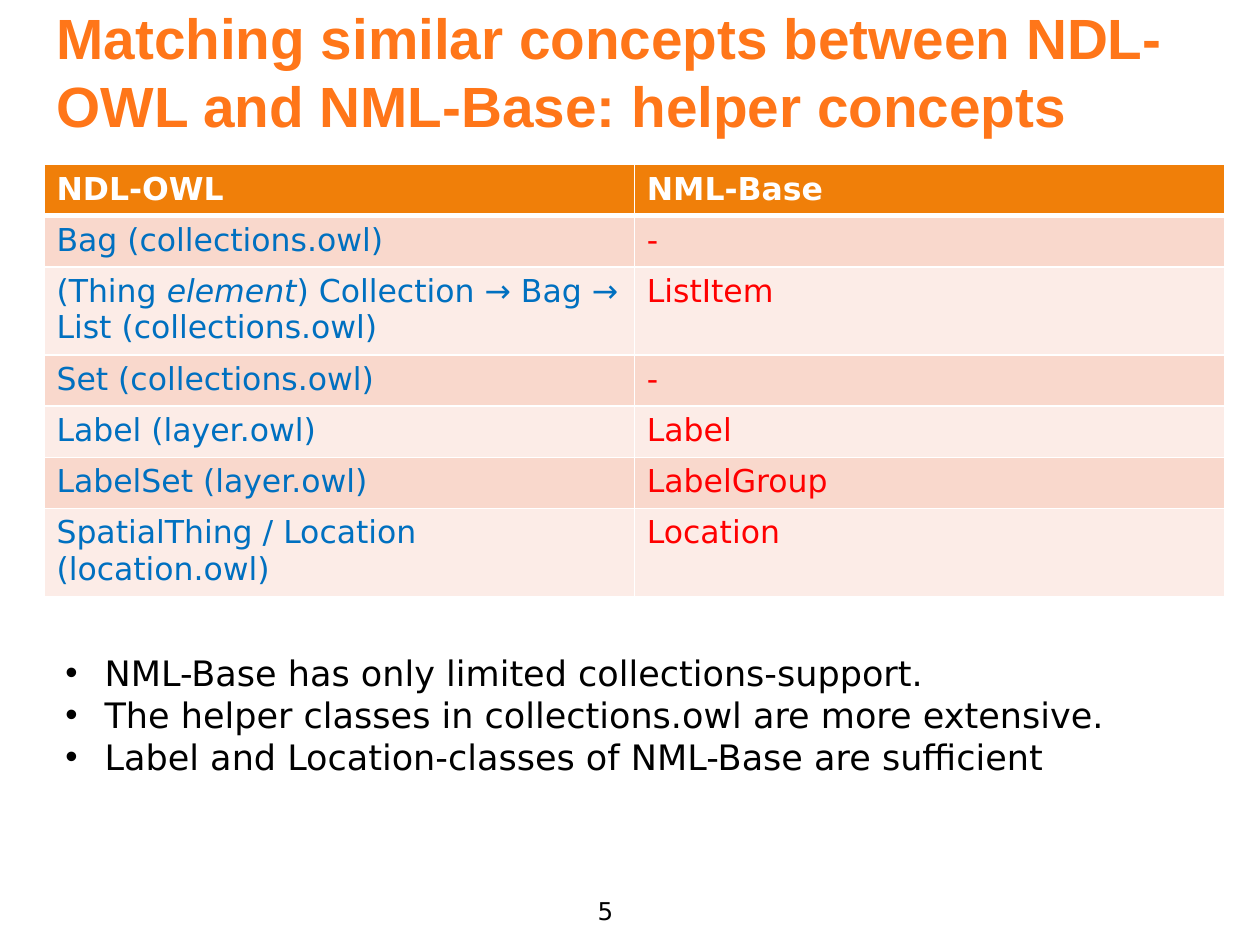
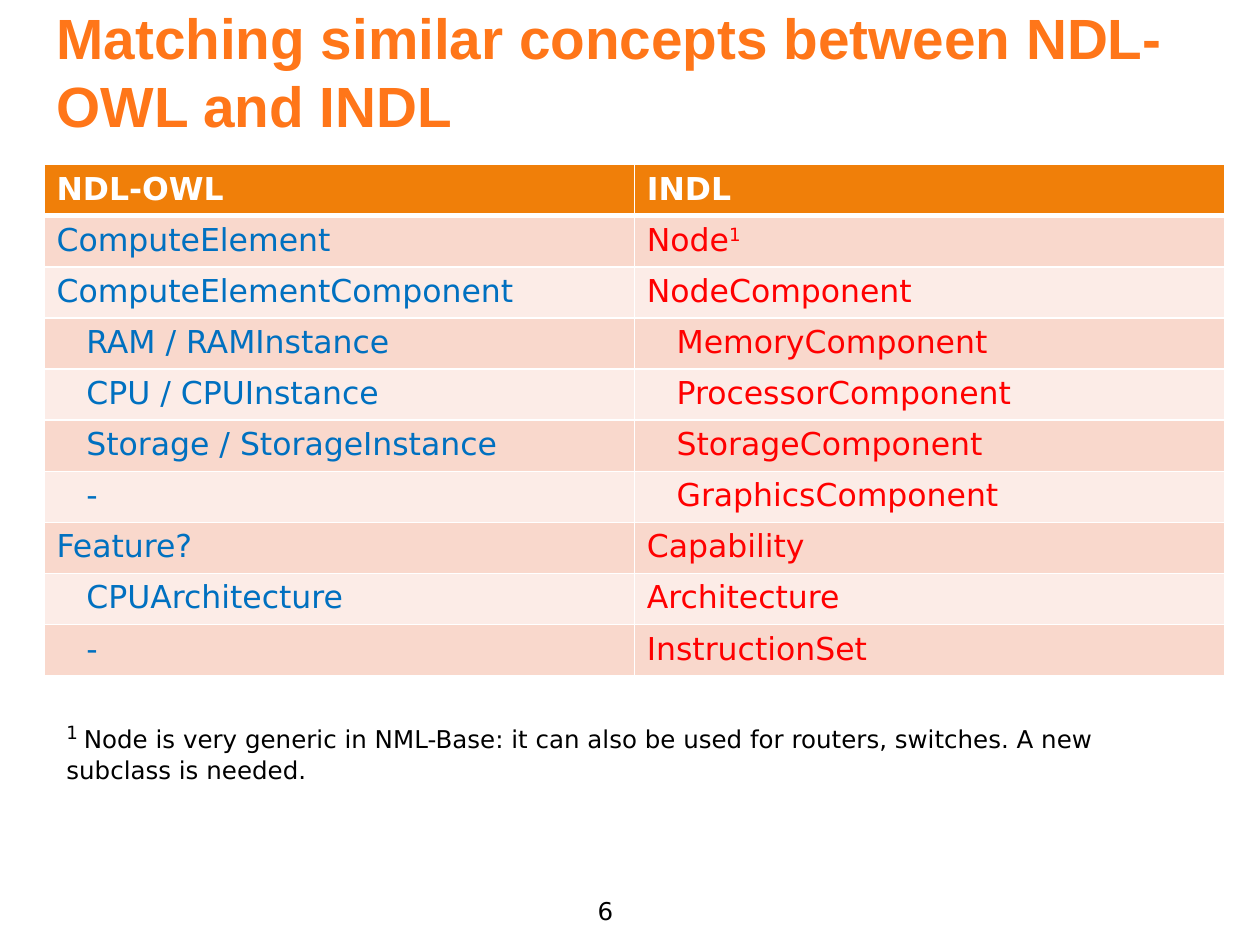
from dataclasses import dataclass

from lxml import etree
from pptx import Presentation
from pptx.dml.color import RGBColor
from pptx.enum.text import MSO_ANCHOR, PP_ALIGN
from pptx.oxml.ns import qn
from pptx.util import Cm, Pt

LEFT, CENTER = PP_ALIGN.LEFT, PP_ALIGN.CENTER
TOP, BOTTOM = MSO_ANCHOR.TOP, MSO_ANCHOR.BOTTOM
BLANK_LAYOUT = 6


@dataclass(frozen=True)
class Theme:
    title_font: str = "Arial"
    body_font: str = "DejaVu Sans"
    title_color: str = "FF7619"
    text_color: str = "000000"
    header_color: str = "FFFFFF"
    border_color: str = "FFFFFF"
    header_fill: str = "F07F09"
    row_fills: tuple = ("F9D8CC", "FCECE7")
    column_colors: tuple = ("0070C0", "FF0000")
    title_size: float = 32.4
    bullet_size: float = 20
    table_size: float = 18
    note_size: float = 14


THEME = Theme()
TITLE_FORMAT = {"name": THEME.title_font, "size": Pt(THEME.title_size), "bold": True}
BULLET_FORMAT = {"name": THEME.body_font, "size": Pt(THEME.bullet_size)}
TABLE_FORMAT = {"name": THEME.body_font, "size": Pt(THEME.table_size)}
NOTE_FORMAT = {"name": THEME.body_font, "size": Pt(THEME.note_size)}
ITALIC = {"italic": True}
SUPERSCRIPT = {"superscript": True}

TABLE_LEFT, TABLE_TOP = Cm(0.89), Cm(3.32)
COLUMN_WIDTH, ROW_HEIGHT = Cm(11.9), Cm(1.03)
CELL_MARGIN, SUBCLASS_INDENT = Cm(0.25), Cm(0.6)
BULLET_INDENT = Cm(0.79)


@dataclass(frozen=True)
class Subclass:
    """A concept that is indented below its parent concept."""
    name: str


HELPER_CONCEPTS = [
    ("NDL-OWL", "NML-Base"),
    ("Bag (collections.owl)", "-"),
    ([("(Thing ", {}), ("element", ITALIC),
      (") Collection → Bag → List (collections.owl)", {})], "ListItem"),
    ("Set (collections.owl)", "-"),
    ("Label (layer.owl)", "Label"),
    ("LabelSet (layer.owl)", "LabelGroup"),
    ("SpatialThing / Location (location.owl)", "Location"),
]
HELPER_FINDINGS = [
    "NML-Base has only limited collections-support.",
    "The helper classes in collections.owl are more extensive.",
    "Label and Location-classes of NML-Base are sufficient",
]
INDL_CONCEPTS = [
    ("NDL-OWL", "INDL"),
    ("ComputeElement", [("Node", {}), ("1", SUPERSCRIPT)]),
    ("ComputeElementComponent", "NodeComponent"),
    (Subclass("RAM / RAMInstance"), Subclass("MemoryComponent")),
    (Subclass("CPU / CPUInstance"), Subclass("ProcessorComponent")),
    (Subclass("Storage / StorageInstance"), Subclass("StorageComponent")),
    (Subclass("-"), Subclass("GraphicsComponent")),
    ("Feature?", "Capability"),
    (Subclass("CPUArchitecture"), "Architecture"),
    (Subclass("-"), "InstructionSet"),
]
NODE_NOTE = [
    ("1 ", {"size": Pt(THEME.table_size), **SUPERSCRIPT}),
    ("Node is very generic in NML-Base: it can also be used for routers, "
     "switches. A new subclass is needed.", {}),
]


def write_runs(paragraph, content, base_format, color):
    """Write a string, or a list of (text, format) pairs, into a paragraph."""
    pieces = [(content, {})] if isinstance(content, str) else content
    for text, extra_format in pieces:
        run = paragraph.add_run()
        run.text = text
        run.font.color.rgb = RGBColor.from_string(color)
        for attribute, value in {**base_format, **extra_format}.items():
            if attribute == "superscript":
                run._r.get_or_add_rPr().set("baseline", "30000")
            else:
                setattr(run.font, attribute, value)


def add_text(slide, box, paragraphs, text_format, color=THEME.text_color,
             alignment=LEFT, anchor=TOP):
    shape = slide.shapes.add_textbox(*(Cm(length) for length in box))
    frame = shape.text_frame
    frame.word_wrap = True
    frame.vertical_anchor = anchor
    for index, content in enumerate(paragraphs):
        paragraph = frame.add_paragraph() if index else frame.paragraphs[0]
        paragraph.alignment = alignment
        write_runs(paragraph, content, text_format, color)
    return shape


def add_bullets(slide, box, items):
    shape = add_text(slide, box, items, BULLET_FORMAT)
    for paragraph in shape.text_frame.paragraphs:
        properties = paragraph._p.get_or_add_pPr()
        properties.set("marL", str(BULLET_INDENT))
        properties.set("indent", str(-BULLET_INDENT))
        etree.SubElement(properties, qn("a:buFont"), typeface=THEME.title_font)
        etree.SubElement(properties, qn("a:buChar"), char="•")


def set_borders(cell, widths):
    """Draw the cell borders; widths maps L, R, T and B to points."""
    properties = cell._tc.get_or_add_tcPr()
    for side, width in widths.items():
        line = etree.SubElement(properties, qn(f"a:ln{side}"), w=str(Pt(width)))
        fill = etree.SubElement(line, qn("a:solidFill"))
        etree.SubElement(fill, qn("a:srgbClr"), val=THEME.border_color)


def fill_cell(cell, content, row, column):
    is_header = row == 0
    set_borders(cell, {"L": 1, "R": 1, "T": 3 if row == 1 else 1,
                       "B": 3 if is_header else 1})
    cell.fill.solid()
    cell.fill.fore_color.rgb = RGBColor.from_string(
        THEME.header_fill if is_header else THEME.row_fills[(row - 1) % 2])
    cell.margin_left = CELL_MARGIN
    if isinstance(content, Subclass):
        cell.margin_left = CELL_MARGIN + SUBCLASS_INDENT
        content = content.name
    write_runs(cell.text_frame.paragraphs[0], content,
               {**TABLE_FORMAT, "bold": is_header},
               THEME.header_color if is_header else THEME.column_colors[column])


def add_concept_table(slide, rows):
    column_count = len(rows[0])
    table = slide.shapes.add_table(
        len(rows), column_count, TABLE_LEFT, TABLE_TOP,
        COLUMN_WIDTH * column_count, ROW_HEIGHT * len(rows)).table
    for row, contents in enumerate(rows):
        for column, content in enumerate(contents):
            fill_cell(table.cell(row, column), content, row, column)


def add_concept_slide(presentation, number, title, rows):
    """Add a slide with page number, title and concept table."""
    slide = presentation.slides.add_slide(presentation.slide_layouts[BLANK_LAYOUT])
    add_text(slide, (11.1, 17.93, 2.21, 0.86), [str(number)], NOTE_FORMAT,
             alignment=CENTER)
    add_text(slide, (0.89, 0.08, 23.8, 2.84), [title], TITLE_FORMAT,
             THEME.title_color, anchor=BOTTOM)
    add_concept_table(slide, rows)
    return slide


def main():
    presentation = Presentation()
    presentation.slide_width, presentation.slide_height = Cm(25.4), Cm(19.05)

    slide = add_concept_slide(
        presentation, 5,
        "Matching similar concepts between NDL-OWL and NML-Base: helper concepts",
        HELPER_CONCEPTS)
    add_bullets(slide, (1.07, 13, 23.39, 2.82), HELPER_FINDINGS)

    slide = add_concept_slide(
        presentation, 6, "Matching similar concepts between NDL-OWL and INDL",
        INDL_CONCEPTS)
    add_text(slide, (1.09, 14.33, 23.39, 1.45), [NODE_NOTE], NOTE_FORMAT)

    presentation.save("out.pptx")


if __name__ == "__main__":
    main()
